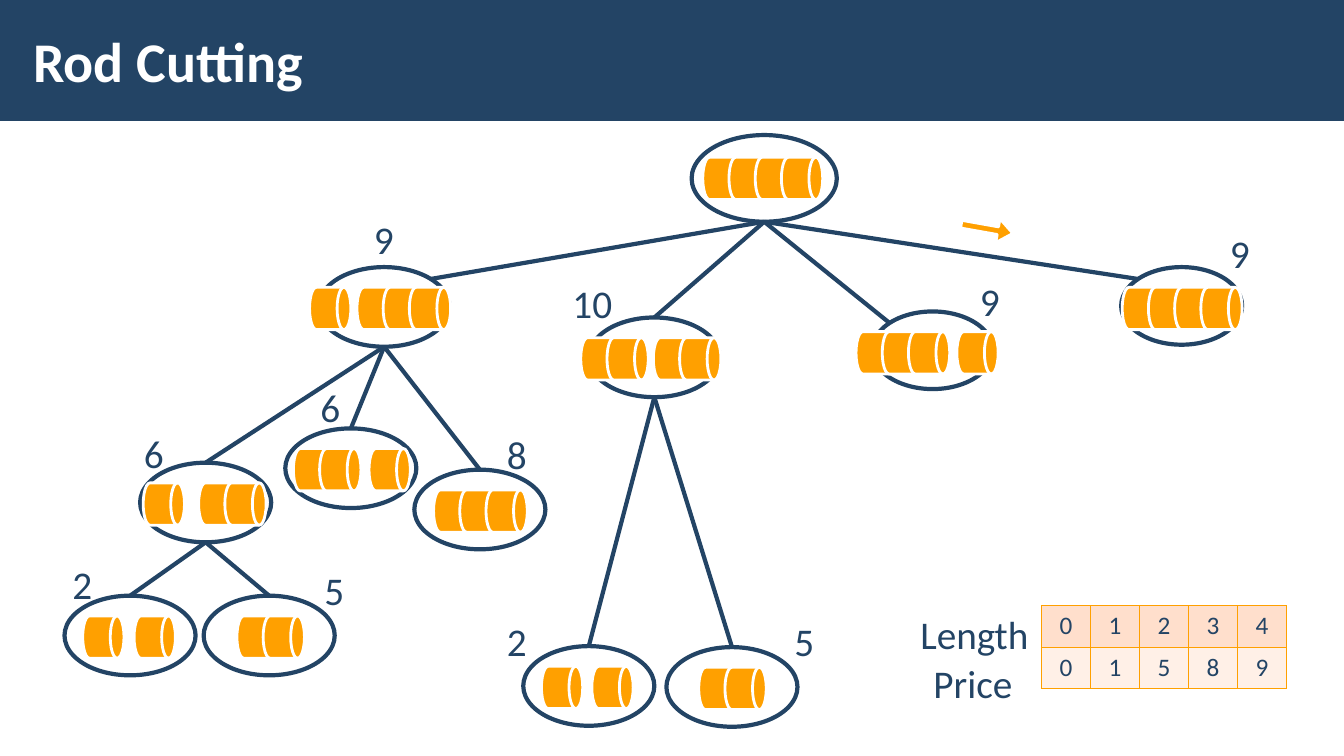
import dataclasses
import typing

import pptx
import pptx.dml.color
import pptx.enum.shapes
import pptx.enum.text
import pptx.oxml.ns
import pptx.util
from lxml import etree

PX = 9144  # EMU in one px, 100 px to the inch
FONT = "Calibri"
NAVY = pptx.dml.color.RGBColor(0x23, 0x44, 0x65)
AMBER = pptx.dml.color.RGBColor(0xFF, 0xA0, 0x00)
PEACH = pptx.dml.color.RGBColor(0xFF, 0xDF, 0xCC)
CREAM = pptx.dml.color.RGBColor(0xFF, 0xF0, 0xE7)
WHITE = pptx.dml.color.RGBColor(0xFF, 0xFF, 0xFF)

KIND = pptx.enum.shapes.MSO_SHAPE
ALIGN = pptx.enum.text.PP_ALIGN
DRUM_WIDE, DRUM_HIGH, DRUM_STEP = 41, 42, 26


class Rod(typing.NamedTuple):
    left: int
    drums: int


class Tag(typing.NamedTuple):
    text: str
    left: int
    top: int
    wide: int = 40


@dataclasses.dataclass(frozen=True)
class Node:
    left: int
    top: int
    rods: tuple[Rod, ...]
    tag: Tag | None = None
    wide: int = 130
    high: int = 79
    side: float = 0.5  # where the edge from the parent lands, across the width
    kids: tuple["Node", ...] = ()


TREE = Node(686, 134, (Rod(697, 4),), wide=144, high=86, kids=(
    Node(316, 265, (Rod(307, 1), Rod(354, 3)), Tag("9", 361, 209), side=0.85, kids=(
        Node(139, 459, (Rod(142, 1), Rod(197, 2)), Tag("6", 133, 421), kids=(
            Node(64, 591, (Rod(82, 1), Rod(133, 1)), Tag("2", 62, 551)),
            Node(202, 591, (Rod(235, 2),), Tag("5", 312, 557)),
        )),
        Node(283, 425, (Rod(291, 2), Rod(366, 1)), Tag("6", 308, 375)),
        Node(411, 466, (Rod(430, 3),), Tag("8", 493, 422)),
    )),
    Node(584, 315, (Rod(576, 2), Rod(648, 2)), Tag("10", 558, 272, 60), kids=(
        Node(519, 641, (Rod(537, 1), Rod(587, 1)), Tag("2", 493, 608)),
        Node(661, 642, (Rod(693, 2),), Tag("5", 778, 608)),
    )),
    Node(865, 309, (Rod(849, 3), Rod(949, 1)), Tag("9", 962, 270), 120, 77, 0.15),
    Node(1112, 265, (Rod(1113, 4),), Tag("9", 1210, 223), 120, 77, 0.15),
))
HEADS = (Tag("Length", 903, 601, 128), Tag("Price", 916, 649, 99))
PRICES = ((PEACH, "01234"), (CREAM, "01589"))


def box(px: int) -> pptx.util.Emu:
    return pptx.util.Emu(px * PX)


def add_run(para, text: str, size: int, tint=NAVY, bold: bool = False) -> None:
    run = para.add_run()
    run.text = text
    run.font.name = FONT
    run.font.size = pptx.util.Pt(size)
    run.font.color.rgb = tint
    run.font.bold = bold


def add_shape(slide, kind, left: int, top: int, wide: int, high: int,
              fill, line=None, weight: int = 2):
    shape = slide.shapes.add_shape(kind, box(left), box(top), box(wide), box(high))
    shape.shadow.inherit = False
    shape.fill.solid()
    shape.fill.fore_color.rgb = fill
    if line is None:
        shape.line.fill.background()
    else:
        shape.line.color.rgb = line
        shape.line.width = pptx.util.Pt(weight)
    return shape


def add_title(slide) -> None:
    add_shape(slide, KIND.RECTANGLE, 0, 0, 1334, 120, NAVY)
    frame = slide.shapes.add_textbox(box(21), box(11), box(1063), box(97)).text_frame
    frame.word_wrap = True
    frame.vertical_anchor = pptx.enum.text.MSO_ANCHOR.MIDDLE
    frame.margin_left = frame.margin_right = box(12)
    frame.margin_top = frame.margin_bottom = box(4)
    add_run(frame.paragraphs[0], "Rod Cutting", 40, WHITE, True)


def add_tag(slide, tag: Tag) -> None:
    frame = slide.shapes.add_textbox(
        box(tag.left), box(tag.top), box(tag.wide), box(57)).text_frame
    frame.word_wrap = False
    frame.auto_size = pptx.enum.text.MSO_AUTO_SIZE.SHAPE_TO_FIT_TEXT
    add_run(frame.paragraphs[0], tag.text, 28)


def add_edge(slide, node: Node, kid: Node) -> None:
    """Join the foot of a node to the rim of its child."""
    drop = 0 if kid.side == 0.5 else round(kid.high * 0.15)
    line = slide.shapes.add_connector(
        pptx.enum.shapes.MSO_CONNECTOR.STRAIGHT,
        box(node.left + node.wide // 2), box(node.top + node.high),
        box(kid.left + round(kid.wide * kid.side)), box(kid.top + drop))
    line.line.color.rgb = NAVY
    line.line.width = pptx.util.Pt(3)
    etree.SubElement(line._element.spPr, pptx.oxml.ns.qn("a:effectLst"))


def add_node(slide, node: Node) -> None:
    """Draw a node with its rods and tag, then all below it."""
    for kid in node.kids:
        add_edge(slide, node, kid)
    oval = add_shape(slide, KIND.OVAL, node.left, node.top, node.wide, node.high,
                     WHITE, NAVY, 3)
    tint = oval._element.spPr.find(
        pptx.oxml.ns.qn("a:solidFill") + "/" + pptx.oxml.ns.qn("a:srgbClr"))
    etree.SubElement(tint, pptx.oxml.ns.qn("a:alpha"), val="50000")
    top = node.top + round(node.high * 0.255)
    for rod in node.rods:
        for step in range(rod.drums):
            add_shape(slide, KIND.FLOWCHART_DIRECT_ACCESS_STORAGE,
                      rod.left + step * DRUM_STEP, top, DRUM_WIDE, DRUM_HIGH,
                      AMBER, WHITE)
    if node.tag:
        add_tag(slide, node.tag)
    for kid in node.kids:
        add_node(slide, kid)


def add_arrow(slide) -> None:
    arrow = add_shape(slide, KIND.RIGHT_ARROW, 953, 215, 52, 24, AMBER, WHITE)
    arrow.rotation = 10.1
    arrow.adjustments[0] = 0.32
    arrow.adjustments[1] = 0.63


def add_rim(cell) -> None:
    """Give a cell an amber line on all four sides."""
    props = cell._tc.get_or_add_tcPr()
    for side in ("lnL", "lnR", "lnT", "lnB"):
        line = etree.SubElement(props, pptx.oxml.ns.qn("a:" + side), w="12700")
        fill = etree.SubElement(line, pptx.oxml.ns.qn("a:solidFill"))
        etree.SubElement(fill, pptx.oxml.ns.qn("a:srgbClr"), val=str(AMBER))


def add_prices(slide) -> None:
    table = slide.shapes.add_table(
        len(PRICES), 5, box(1033), box(601), box(243), box(82)).table
    table.first_row = table.horz_banding = False
    for col in table.columns:
        col.width = box(243) // 5
    for row, (fill, marks) in enumerate(PRICES):
        table.rows[row].height = box(41)
        for col, mark in enumerate(marks):
            cell = table.cell(row, col)
            add_rim(cell)
            cell.fill.solid()
            cell.fill.fore_color.rgb = fill
            para = cell.text_frame.paragraphs[0]
            para.alignment = ALIGN.CENTER
            add_run(para, mark, 18)


def main() -> None:
    deck = pptx.Presentation()
    deck.slide_width, deck.slide_height = box(1333), box(750)
    slide = deck.slides.add_slide(deck.slide_layouts[6])
    add_title(slide)
    add_node(slide, TREE)
    add_arrow(slide)
    for head in HEADS:
        add_tag(slide, head)
    add_prices(slide)
    deck.save("out.pptx")


if __name__ == "__main__":
    main()
